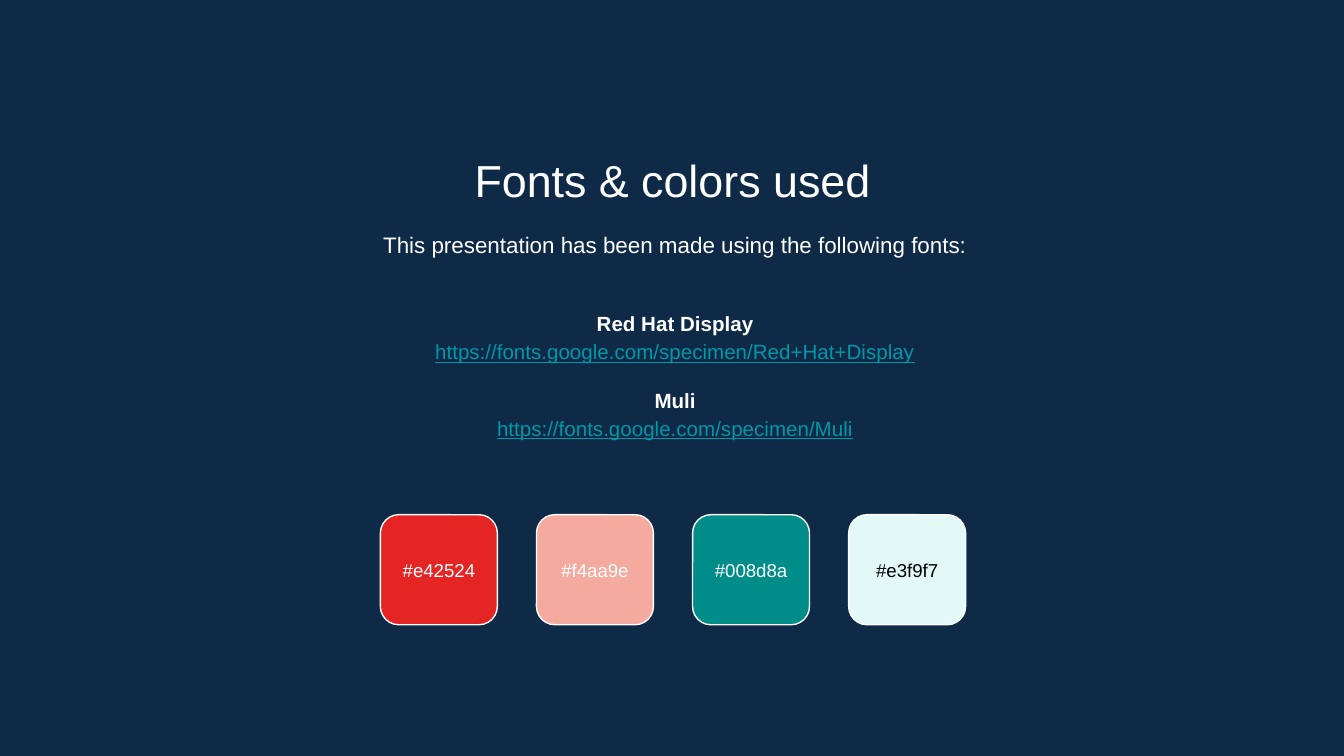
from dataclasses import dataclass

from pptx import Presentation
from pptx import util as u
from pptx.dml.color import RGBColor
from pptx.enum import shapes, text


@dataclass(frozen=True)
class Theme:
    font: str = "Arial"
    navy: str = "0E2A47"
    white: str = "FFFFFF"
    black: str = "000000"
    link: str = "0097A7"
    title: int = 24
    intro: int = 12
    body: int = 11
    label: int = 10


theme = Theme()


def add_text(parent, lines, left, top, width, height, size, color=theme.white,
             anchor=text.MSO_ANCHOR.MIDDLE, spacing=1.0):
    """Add a centred text box and return its paragraphs."""
    box = parent.add_textbox(u.Cm(left), u.Cm(top), u.Cm(width), u.Cm(height))
    frame = box.text_frame
    frame.text = "\n".join(lines)
    frame.word_wrap = True
    frame.vertical_anchor = anchor
    frame.margin_left = frame.margin_right = u.Cm(0.25)
    frame.margin_top = frame.margin_bottom = u.Cm(0.25)
    for para in frame.paragraphs:
        para.alignment = text.PP_ALIGN.CENTER
        para.line_spacing = spacing
        for span in para.runs:
            span.font.name = theme.font
            span.font.size = u.Pt(size)
            span.font.color.rgb = RGBColor.from_string(color)
    return frame.paragraphs


deck = Presentation()
deck.slide_width, deck.slide_height = u.Cm(25.4), u.Cm(14.29)
page = deck.slides.add_slide(deck.slide_layouts[6])
page.background.fill.solid()
page.background.fill.fore_color.rgb = RGBColor.from_string(theme.navy)

# Title and introduction
top_anchor = text.MSO_ANCHOR.TOP
add_text(page.shapes, ["Fonts & colors used"], 2.92, 2.64, 19.58, 1.35,
         theme.title, anchor=top_anchor)
add_text(page.shapes, ["This presentation has been made using the following fonts:"],
         2.97, 4.04, 19.58, 1.22, theme.intro, anchor=top_anchor, spacing=1.15)

# Font names, each followed by its address
font_lines = [
    "Red Hat Display",
    "https://fonts.google.com/specimen/Red+Hat+Display",
    "Muli",
    "https://fonts.google.com/specimen/Muli",
]
paras = add_text(page.shapes, font_lines, 2.97, 5.33, 19.58, 3.48, theme.body, spacing=1.15)
for name, address in zip(paras[::2], paras[1::2]):
    name.runs[0].font.bold = True
    address.runs[0].font.underline = True
    address.runs[0].font.color.rgb = RGBColor.from_string(theme.link)
paras[2].space_before = u.Pt(10.6)

# Colour swatches with their codes
swatches = [
    ("#e42524", theme.white),
    ("#f4aa9e", theme.white),
    ("#008d8a", theme.white),
    ("#e3f9f7", theme.black),
]
swatch_left, swatch_step, swatch_width = 7.19, 2.95, 2.21
group = page.shapes.add_group_shape()
for index, (code, label_color) in enumerate(swatches):
    left = swatch_left + index * swatch_step
    swatch = group.shapes.add_shape(shapes.MSO_SHAPE.ROUNDED_RECTANGLE, u.Cm(left),
                                    u.Cm(9.73), u.Cm(swatch_width), u.Cm(2.08))
    swatch.shadow.inherit = False
    swatch.fill.solid()
    swatch.fill.fore_color.rgb = RGBColor.from_string(code[1:].upper())
    swatch.line.color.rgb = RGBColor.from_string(theme.white)
    swatch.line.width = u.Pt(0.75)
    add_text(group.shapes, [code], left, 10.16, swatch_width, 1.22, theme.label, label_color)

deck.save("out.pptx")
